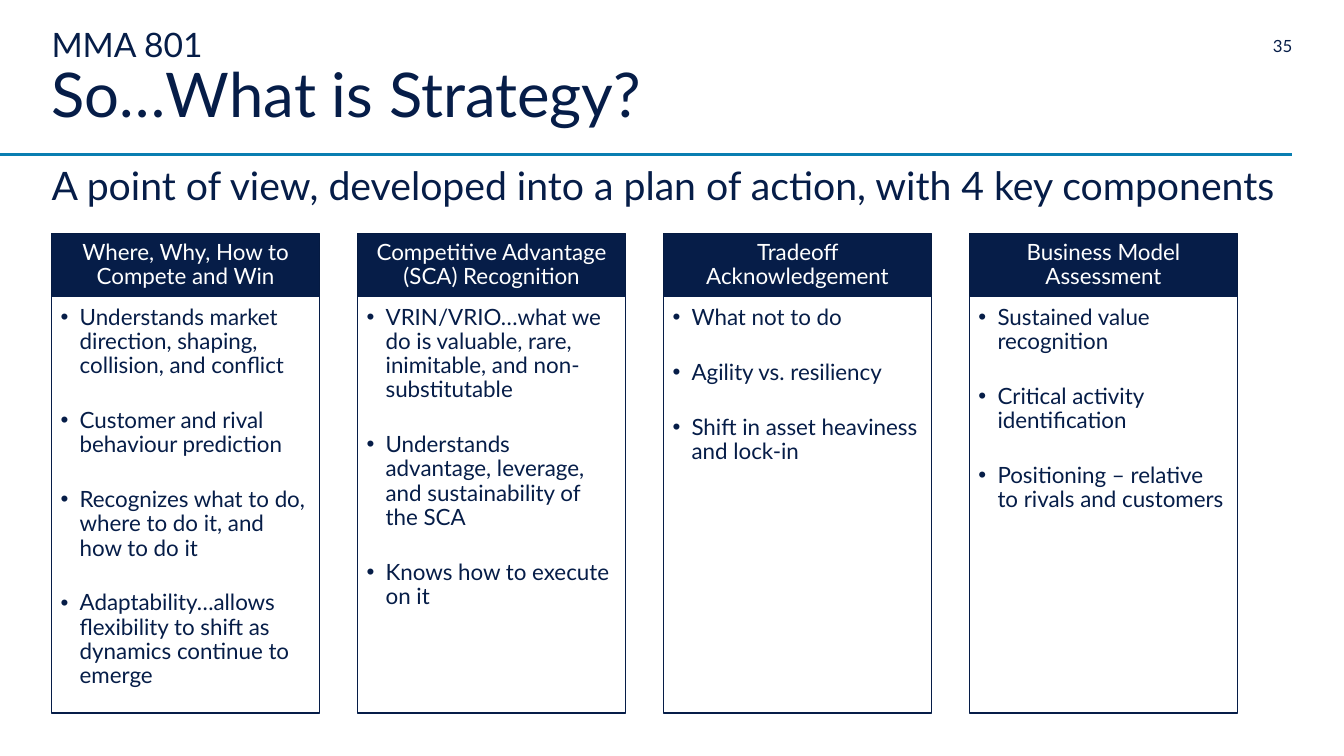
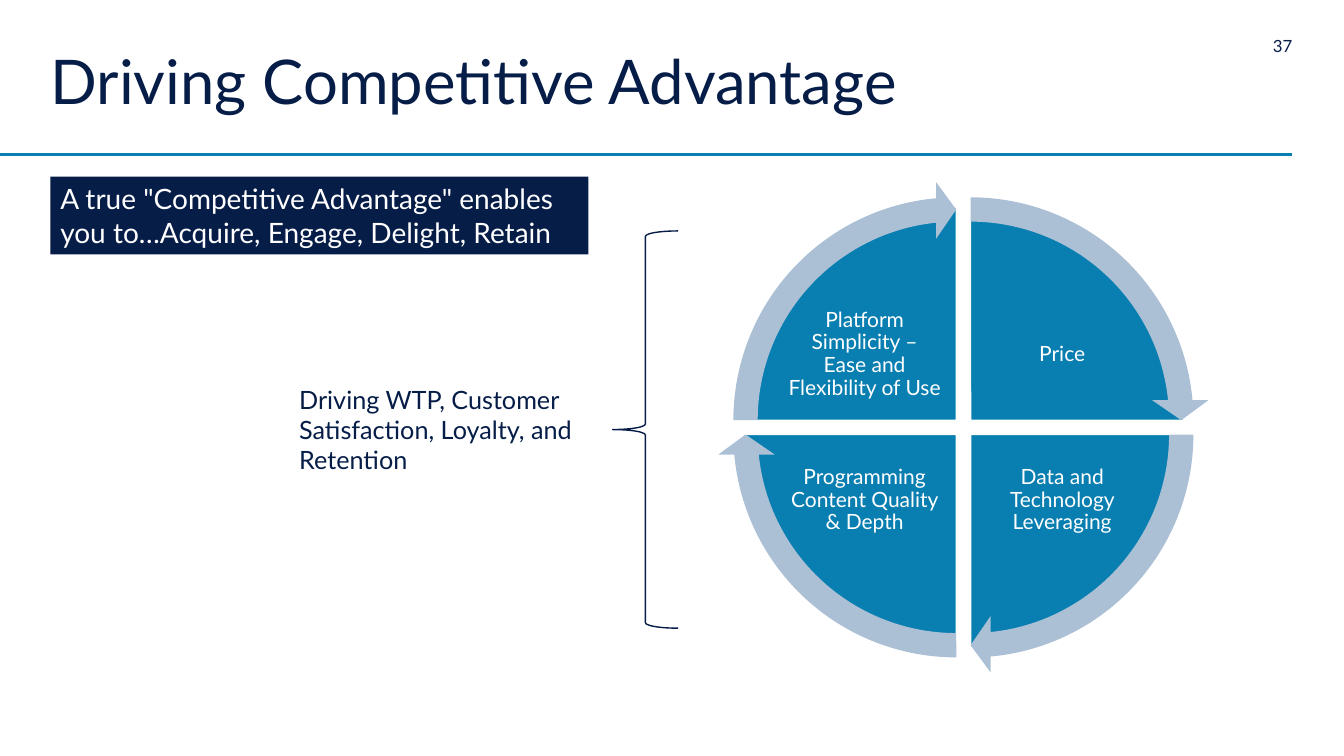
"""Build two strategy slides: four component cards and a competitive advantage cycle."""
from lxml import etree
from pptx import Presentation
from pptx.dml.color import RGBColor
from pptx.enum import shapes, text
from pptx.oxml.ns import qn
from pptx.util import Cm, Pt

FONT = "Lato"
NAVY, EDGE, BLUE, PALE, WHITE = "061D48", "051A41", "097EB1", "ABC0D5", "FFFFFF"
LEFT, CENTER, RIGHT = text.PP_ALIGN.LEFT, text.PP_ALIGN.CENTER, text.PP_ALIGN.RIGHT
TOP, MIDDLE, BOTTOM = text.MSO_ANCHOR.TOP, text.MSO_ANCHOR.MIDDLE, text.MSO_ANCHOR.BOTTOM
SHAPE = shapes.MSO_SHAPE

SUBTITLE = "A point of view, developed into a plan of action, with 4 key components"
CARDS = [
    ("Where, Why, How to Compete and Win", [
        "Understands market direction, shaping, collision, and conflict",
        "Customer and rival behaviour prediction",
        "Recognizes what to do, where to do it, and how to do it",
        "Adaptability…allows flexibility to shift as dynamics continue to emerge"]),
    ("Competitive Advantage (SCA) Recognition", [
        "VRIN/VRIO…what we do is valuable, rare, inimitable, and non-substitutable",
        "Understands advantage, leverage, and sustainability of the SCA",
        "Knows how to execute on it"]),
    ("Tradeoff Acknowledgement", [
        "What not to do",
        "Agility vs. resiliency",
        "Shift in asset heaviness and lock-in"]),
    ("Business Model Assessment", [
        "Sustained value recognition",
        "Critical activity identification",
        "Positioning – relative to rivals and customers"]),
]
CALLOUT = 'A true "Competitive Advantage" enables you to…Acquire, Engage, Delight, Retain'
OUTCOME = "Driving WTP, Customer Satisfaction, Loyalty, and Retention"
QUADRANTS = [
    ("Price", 1, -1),
    ("Data and Technology Leveraging", 1, 1),
    ("Programming Content Quality & Depth", -1, 1),
    ("Platform Simplicity – Ease and Flexibility of Use", -1, -1),
]

CARD_X, CARD_Y, CARD_W, CARD_STEP = 1.3, 5.89, 6.76, 7.71
HEAD_H, BODY_H = 1.59, 10.49
CYCLE_X, CYCLE_Y, HALF_GAP = 24.28, 10.77, 0.18
PIE_D, ARROW_D = 10.72, 12.04
LABEL_W, LABEL_H, LABEL_DX, LABEL_DY = 3.96, 2.95, 2.31, 1.66
QUARTER, FULL = 54, 216


def rgb(value):
    """Turn a hex string into a colour."""
    return RGBColor.from_string(value)


def add_bullet(p, indent=0.48):
    """Give a paragraph a hanging round bullet."""
    pPr = p._p.get_or_add_pPr()
    pPr.set("marL", str(Cm(indent)))
    pPr.set("indent", str(-Cm(indent)))
    etree.SubElement(pPr, qn("a:buFont"), typeface="Arial")
    etree.SubElement(pPr, qn("a:buChar"), char="•")


def write(sp, lines, size=16, color=NAVY, align=LEFT, anchor=TOP,
          insets=(0, 0, 0, 0), spacing=1.0, after=0, bullet=False):
    """Fill a shape with lines, each a string or a (string, size) pair."""
    tf = sp.text_frame
    tf.word_wrap = True
    tf.vertical_anchor = anchor
    tf.margin_left, tf.margin_top, tf.margin_right, tf.margin_bottom = map(Cm, insets)
    for i, line in enumerate([lines] if isinstance(lines, str) else lines):
        content, points = (line, size) if isinstance(line, str) else line
        p = tf.add_paragraph() if i else tf.paragraphs[0]
        if bullet:
            add_bullet(p)
        p.alignment, p.line_spacing, p.space_after = align, spacing, Pt(after)
        r = p.add_run()
        r.text = content
        r.font.name, r.font.size, r.font.color.rgb = FONT, Pt(points), rgb(color)


def add_text(s, box, lines, **style):
    """Add a text box at a box given in centimetres."""
    write(s.shapes.add_textbox(*map(Cm, box)), lines, **style)


def add_shape(s, kind, box, fill=None, line=None, adjust=()):
    """Add a flat preset shape at a box given in centimetres."""
    sp = s.shapes.add_shape(kind, *map(Cm, box))
    sp.shadow.inherit = False
    if fill:
        sp.fill.solid()
        sp.fill.fore_color.rgb = rgb(fill)
    else:
        sp.fill.background()
    if line:
        sp.line.color.rgb, sp.line.width = rgb(line), Pt(1)
    else:
        sp.line.fill.background()
    for i, value in enumerate(adjust):
        sp.adjustments[i] = value
    return sp


def add_slide(prs, number, title, x, y):
    """Add a slide with its title, page number and rule."""
    s = prs.slides.add_slide(prs.slide_layouts[6])
    rule = s.shapes.add_connector(shapes.MSO_CONNECTOR.STRAIGHT,
                                  0, Cm(3.89), Cm(32.57), Cm(3.89))
    rule.line.color.rgb, rule.line.width = rgb(BLUE), Pt(2.25)
    etree.SubElement(rule._element.spPr, qn("a:effectLst"))
    add_text(s, (31.55, 0.91, 1.02, 0.51), number, size=12, align=RIGHT)
    add_text(s, (x, y, 27.79, 2.39), title, size=44, anchor=BOTTOM, spacing=0.9)
    return s


def add_cards(s):
    """Draw the row of headed cards."""
    for i, (heading, points) in enumerate(CARDS):
        x = CARD_X + i * CARD_STEP
        head = add_shape(s, SHAPE.RECTANGLE, (x, CARD_Y, CARD_W, HEAD_H), NAVY, EDGE)
        write(head, heading, color=WHITE, align=CENTER, anchor=MIDDLE,
              insets=(0.3, 0.18, 0.3, 0.18), spacing=0.9)
        body = add_shape(s, SHAPE.RECTANGLE,
                         (x, CARD_Y + HEAD_H, CARD_W, BODY_H), WHITE, NAVY)
        write(body, points, insets=(0.23, 0.23, 0.3, 0.36),
              spacing=0.9, after=22, bullet=True)


def add_cycle(s):
    """Draw the four labelled quarters and the arrows around them."""
    arrows = []
    for i, (label, dx, dy) in enumerate(QUADRANTS):
        x, y = CYCLE_X + dx * HALF_GAP, CYCLE_Y + dy * HALF_GAP
        start = (i - 1) * QUARTER % FULL
        add_shape(s, SHAPE.PIE, (x - PIE_D / 2, y - PIE_D / 2, PIE_D, PIE_D),
                  BLUE, WHITE, (start, (start + QUARTER) % FULL))
        add_text(s, (x + dx * LABEL_DX - LABEL_W / 2, y + dy * LABEL_DY - LABEL_H / 2,
                     LABEL_W, LABEL_H), label, size=15, color=WHITE, align=CENTER,
                 anchor=MIDDLE, insets=(0.05, 0.05, 0.05, 0.05), spacing=0.9)
        arrows.append(((x - ARROW_D / 2, y - ARROW_D / 2, ARROW_D, ARROW_D), start))
    for box, start in arrows:
        add_shape(s, SHAPE.CIRCULAR_ARROW, box, PALE,
                  adjust=(0.051, 3.275, start + 50.725, start, 0.059))


def main():
    """Build and save the presentation."""
    prs = Presentation()
    prs.slide_width, prs.slide_height = Cm(33.87), Cm(19.05)

    s = add_slide(prs, "35", [("MMA 801", 24), "So…What is Strategy?"], 1.3, 0.91)
    add_text(s, (1.3, 4.06, 31.27, 1.3), SUBTITLE, size=28)
    add_cards(s)

    s = add_slide(prs, "37", "Driving Competitive Advantage", 1.27, 0.58)
    add_cycle(s)
    add_shape(s, SHAPE.LEFT_BRACE, (15.44, 5.82, 1.65, 10.01), line=NAVY)
    insets = (0.25, 0.13, 0.25, 0.13)
    add_text(s, (7.29, 9.55, 7.54, 2.57), OUTCOME, size=18, insets=insets)
    callout = add_shape(s, SHAPE.RECTANGLE, (1.27, 4.45, 13.56, 1.96), NAVY)
    write(callout, CALLOUT, size=20, color=WHITE, insets=insets)

    prs.save("out.pptx")


if __name__ == "__main__":
    main()
